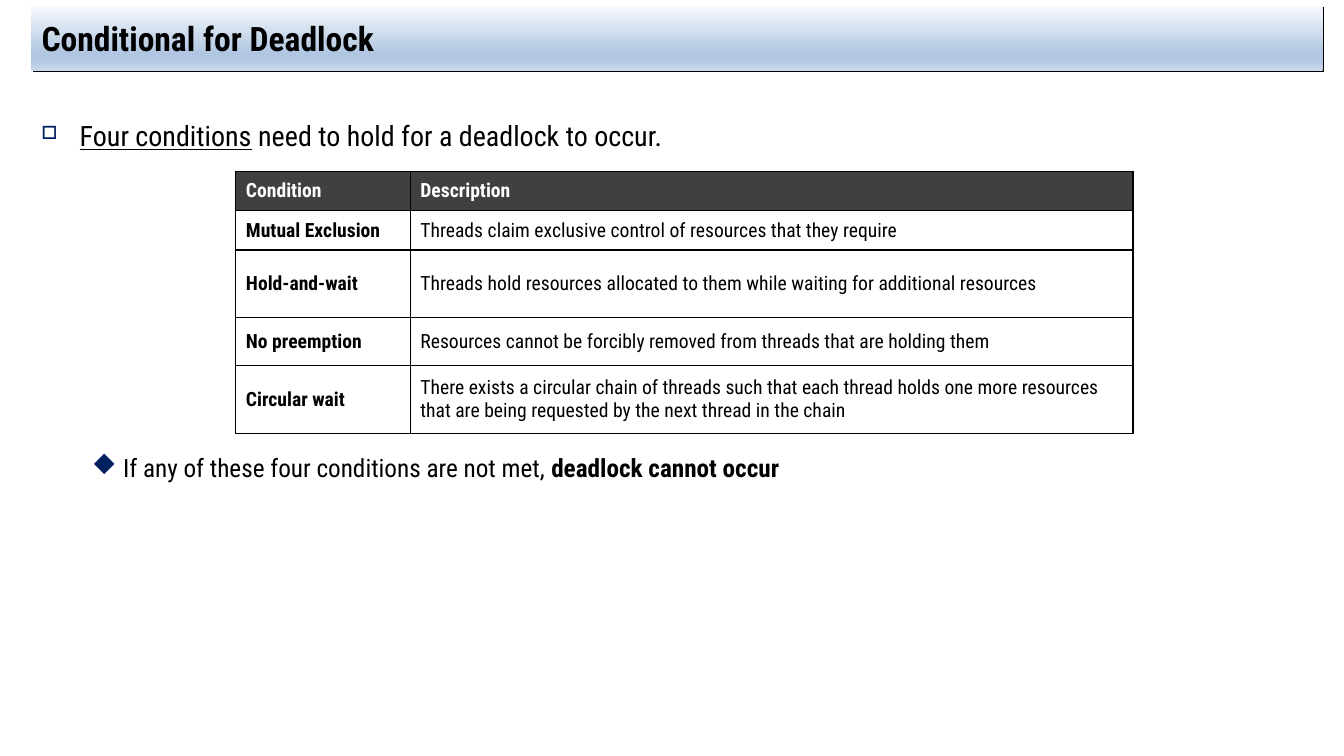
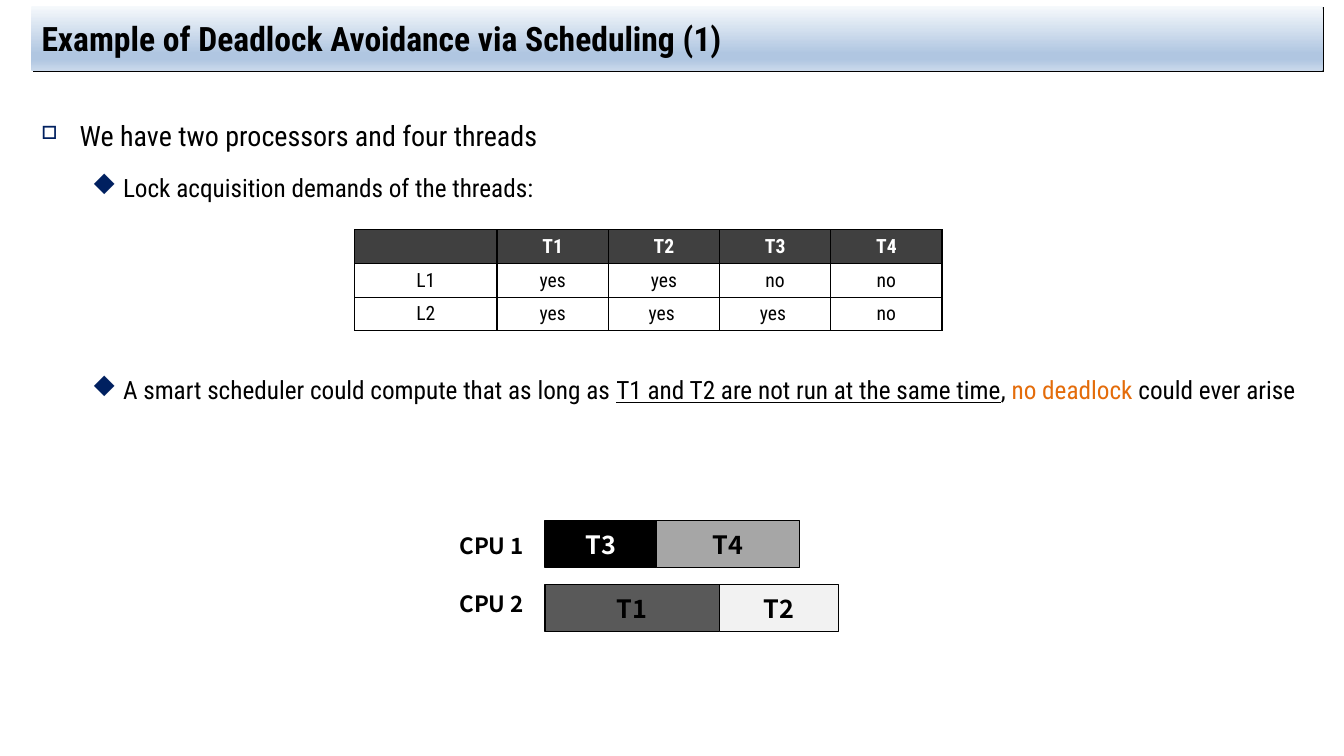
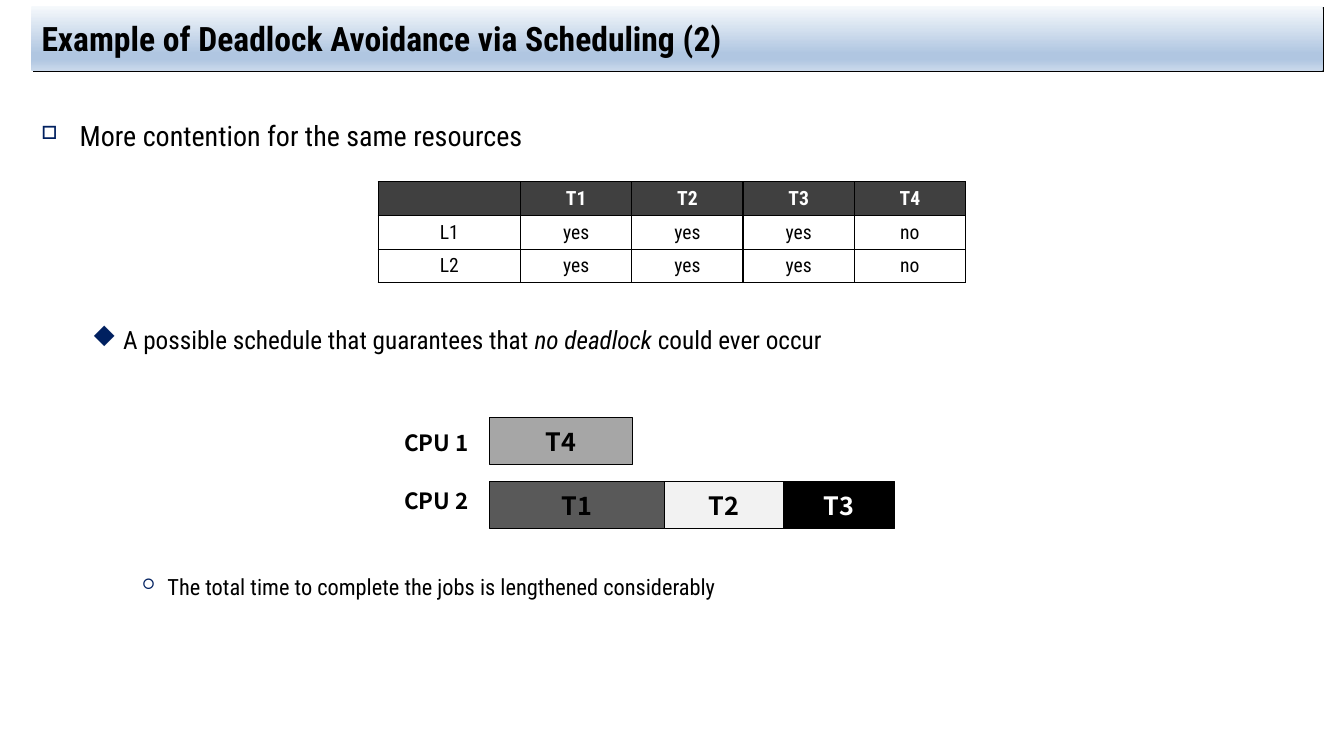
from lxml import etree
from pptx import Presentation
from pptx.dml.color import RGBColor
from pptx.enum.shapes import MSO_SHAPE
from pptx.enum.text import MSO_ANCHOR, PP_ALIGN
from pptx.oxml import parse_xml
from pptx.oxml.ns import nsdecls, qn
from pptx.util import Inches, Pt

RECT = MSO_SHAPE.RECTANGLE
MIDDLE = MSO_ANCHOR.MIDDLE
LEFT, CENTER = PP_ALIGN.LEFT, PP_ALIGN.CENTER


class Theme:
    font, label, marks = "Roboto Condensed", "Noto Sans CJK KR", "Wingdings"
    black, white, head = "000000", "FFFFFF", "404040"
    accent, bullet = "E46C0A", "002060"
    band = [(0, "F6F9FC"), (74, "B0C6E1"), (83, "B0C6E1"), (100, "CAD9EB")]
    title, cell, cpu, bar = 24, 14, 16, 18
    # size, left margin, indent, bullet in the marks font (square, diamond,
    # ring), bullet size in percent
    levels = [(20, 0.38, -0.38, "o", 65), (18, 0.81, -0.31, "u", 100),
              (16, 1.25, -0.25, "¡", 65)]


# Thread: bar width, fill, text colour
THREADS = {
    "T1": (12.98, "595959", Theme.black),
    "T2": (8.85, "F2F2F2", Theme.black),
    "T3": (8.29, "000000", Theme.white),
    "T4": (10.62, "A6A6A6", Theme.black),
}

LOCK_COLS, LOCK_ROWS = [10.58] + [8.28] * 4, [4.38] * 3
LOCK_HEAD = ["", "T1", "T2", "T3", "T4"]

# Each point: level, space before, runs of (text, marks)
SLIDES = [
    dict(
        title="Conditional for Deadlock",
        points=[
            (0, 0, [("Four conditions", "u"),
                    (" need to hold for a deadlock to occur.", "")]),
            (1, 203.5, [("If any of these four conditions are not met, ", ""),
                        ("deadlock cannot occur", "b")]),
        ],
        at=(17.55, 22.67), cols=[12.98, 53.78],
        rows=[5.2, 5.2, 8.93, 6.4, 8.93], align=LEFT, bold=True,
        cells=[
            ["Condition", "Description"],
            ["Mutual Exclusion",
             "Threads claim exclusive control of resources that they require"],
            ["Hold-and-wait",
             "Threads hold resources allocated to them while waiting for "
             "additional resources"],
            ["No preemption",
             "Resources cannot be forcibly removed from threads that are "
             "holding them"],
            ["Circular wait",
             "There exists a circular chain of threads such that each thread "
             "holds one more resources that are being requested by the next "
             "thread in the chain"],
        ],
        start=(0, 0), plan=[],
    ),
    dict(
        title="Example of Deadlock Avoidance via Scheduling (1)",
        points=[
            (0, 0, [("We have two processors and four threads", "")]),
            (1, 3.6, [("Lock acquisition demands of the threads:", "")]),
            (1, 112, [
                ("A smart scheduler could compute that as long as ", ""),
                ("T1 and T2 are not run at the same time", "u"), (", ", ""),
                ("no deadlock ", "c"), ("could ever arise", "")]),
        ],
        at=(26.4, 30.4), cols=LOCK_COLS, rows=LOCK_ROWS,
        align=CENTER, bold=False,
        cells=[LOCK_HEAD, ["L1", "yes", "yes", "no", "no"],
               ["L2", "yes", "yes ", "yes ", "no"]],
        start=(40.55, 68.85), plan=[["T3", "T4"], ["T1", "T2"]],
    ),
    dict(
        title="Example of Deadlock Avoidance via Scheduling (2)",
        points=[
            (0, 0, [("More contention for the same resources", "")]),
            (1, 112, [("A possible schedule that guarantees that ", ""),
                      ("no deadlock ", "i"), ("could ever occur", "")]),
            (2, 146.6, [("The total time to complete the jobs is lengthened "
                         "considerably", "")]),
        ],
        at=(28.15, 24.05), cols=LOCK_COLS, rows=LOCK_ROWS,
        align=CENTER, bold=False,
        cells=[LOCK_HEAD, ["L1", "yes", "yes", "yes", "no"],
               ["L2", "yes", "yes", "yes", "no"]],
        start=(36.45, 55.2), plan=[["T4"], ["T1", "T2", "T3"]],
    ),
]

deck = Presentation()
deck.slide_width, deck.slide_height = Inches(13.33), Inches(7.5)
COL, ROW = deck.slide_width / 100, deck.slide_height / 100


def box(x, y, w, h):
    """Turn percent shares of the slide into left, top, width, height."""
    return [round(v) for v in (x * COL, y * ROW, w * COL, h * ROW)]


def style(par, size, bold=False, color=Theme.black, face=Theme.font):
    for run in par.runs:
        font = run.font
        font.size, font.bold, font.name = Pt(size), bold, face
        font.color.rgb = RGBColor.from_string(color)


stops = "".join(f'<a:gs pos="{pos * 1000}"><a:srgbClr val="{hue}"/></a:gs>'
                for pos, hue in Theme.band)
BAND = (f'<a:gradFill {nsdecls("a")} rotWithShape="1"><a:gsLst>{stops}</a:gsLst>'
        '<a:lin ang="5400000" scaled="0"/></a:gradFill>')
SHADOW = (f'<a:effectLst {nsdecls("a")}><a:outerShdw blurRad="0" dist="17780" '
          'dir="2700000" algn="tl" rotWithShape="0">'
          f'<a:srgbClr val="{Theme.black}"/></a:outerShdw></a:effectLst>')

for page in SLIDES:
    slide = deck.slides.add_slide(deck.slide_layouts[5])
    shapes = slide.shapes

    # Title band
    title = shapes.title
    title.left, title.top, title.width, title.height = box(2.34, 0.8, 96.08, 8.53)
    for xml in (BAND, SHADOW):
        title._element.spPr.append(parse_xml(xml))
    title.text_frame.text = page["title"]
    title.text_frame.vertical_anchor = MIDDLE
    par = title.text_frame.paragraphs[0]
    par.alignment = LEFT
    style(par, Theme.title, True)

    # Bullet points
    frame = shapes.add_textbox(*box(2.34, 12.8, 96.08, 80.27)).text_frame
    frame.word_wrap = True
    for i, (level, space, parts) in enumerate(page["points"]):
        size, margin, indent, mark, scale = Theme.levels[level]
        par = frame.add_paragraph() if i else frame.paragraphs[0]
        par.level = level
        props = par._p.get_or_add_pPr()
        props.set("marL", str(Inches(margin)))
        props.set("indent", str(Inches(indent)))
        hue = etree.SubElement(props, qn("a:buClr"))
        etree.SubElement(hue, qn("a:srgbClr"), val=Theme.bullet)
        etree.SubElement(props, qn("a:buSzPct"), val=str(scale * 1000))
        etree.SubElement(props, qn("a:buFont"), typeface=Theme.marks,
                         pitchFamily="2", charset="2")
        etree.SubElement(props, qn("a:buChar"), char=mark)
        par.line_spacing, par.space_before = 1.5, Pt(space)
        for text, _ in parts:
            par.add_run().text = text
        style(par, size)
        for run, (_, look) in zip(par.runs, parts):
            run.font.bold = look == "b"
            run.font.italic = look == "i"
            run.font.underline = look == "u"
            if look == "c":
                run.font.color.rgb = RGBColor.from_string(Theme.accent)

    # Table
    cols, rows = page["cols"], page["rows"]
    table = shapes.add_table(len(rows), len(cols),
                             *box(*page["at"], sum(cols), sum(rows))).table
    table.first_row = table.horz_banding = False
    for i, width in enumerate(cols):
        table.columns[i].width = round(width * COL)
    for r, height in enumerate(rows):
        table.rows[r].height = round(height * ROW)
        for c, text in enumerate(page["cells"][r]):
            cell = table.cell(r, c)
            cell.text = text
            cell.vertical_anchor = MIDDLE
            par = cell.text_frame.paragraphs[0]
            par.alignment = page["align"]
            if not text:
                etree.SubElement(par._p, qn("a:endParaRPr"),
                                 sz=str(Theme.cell * 100))
            style(par, Theme.cell, r == 0 or page["bold"] and c == 0,
                  Theme.black if r else Theme.white)
            props = cell._tc.get_or_add_tcPr()
            for side in "LRTB":
                edge = etree.SubElement(props, qn(f"a:ln{side}"), w=str(Pt(1)))
                ink = etree.SubElement(edge, qn("a:solidFill"))
                etree.SubElement(ink, qn("a:srgbClr"), val=Theme.black)
            cell.fill.solid()
            cell.fill.fore_color.rgb = RGBColor.from_string(
                Theme.white if r else Theme.head)

    # Schedule of threads on each CPU
    left, top = page["start"]
    for n, names in enumerate(page["plan"]):
        label = shapes.add_textbox(
            *box(left - 7.1, top + 0.93 + n * 7.6, 6.45, 4.93)).text_frame
        label.word_wrap = False
        label.text = f"CPU {n + 1}"
        style(label.paragraphs[0], Theme.cpu, True, face=Theme.label)
        x = left
        for name in names:
            width, fill, ink = THREADS[name]
            bar = shapes.add_shape(RECT, *box(x, top + n * 8.47, width, 6.27))
            bar.shadow.inherit = False
            bar.fill.solid()
            bar.fill.fore_color.rgb = RGBColor.from_string(fill)
            bar.line.color.rgb = RGBColor.from_string(Theme.black)
            bar.line.width = Pt(0.75)
            bar.text_frame.text = name
            bar.text_frame.vertical_anchor = MIDDLE
            par = bar.text_frame.paragraphs[0]
            par.alignment = CENTER
            style(par, Theme.bar, True, ink, Theme.label)
            x += width

deck.save("out.pptx")
